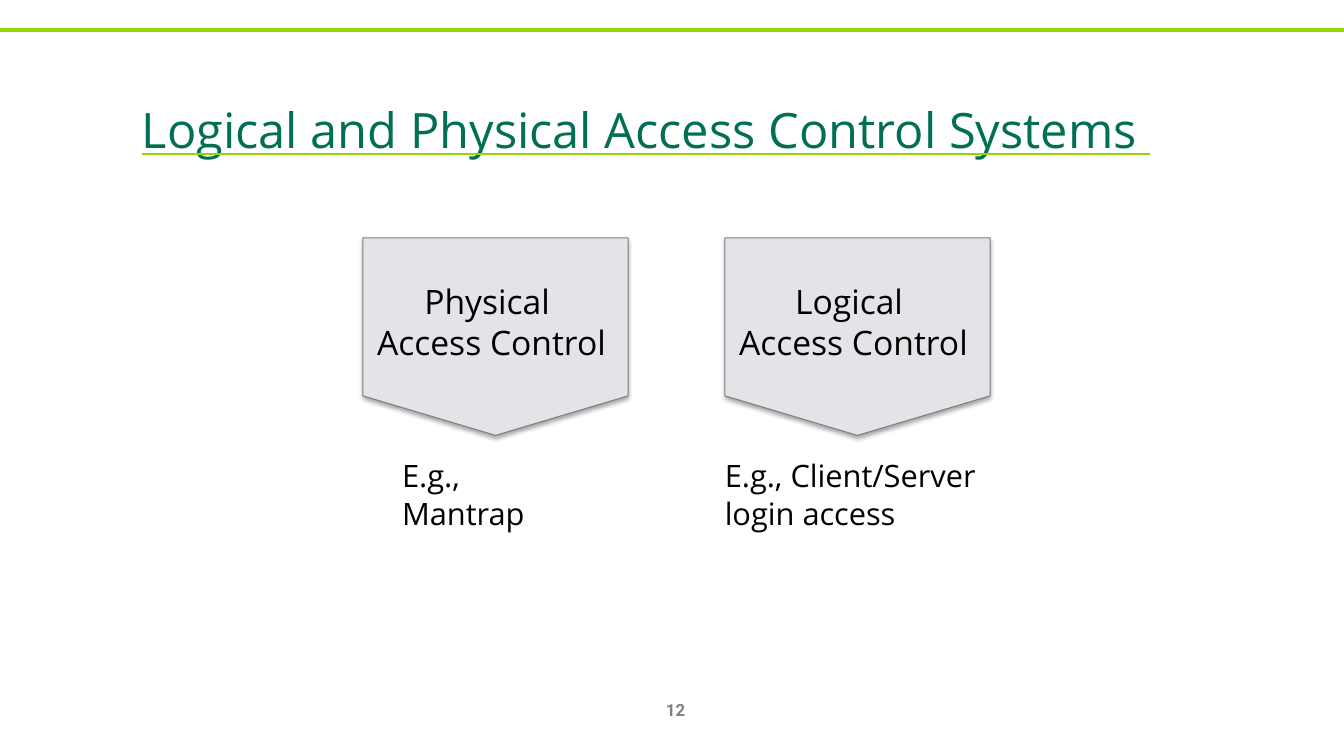
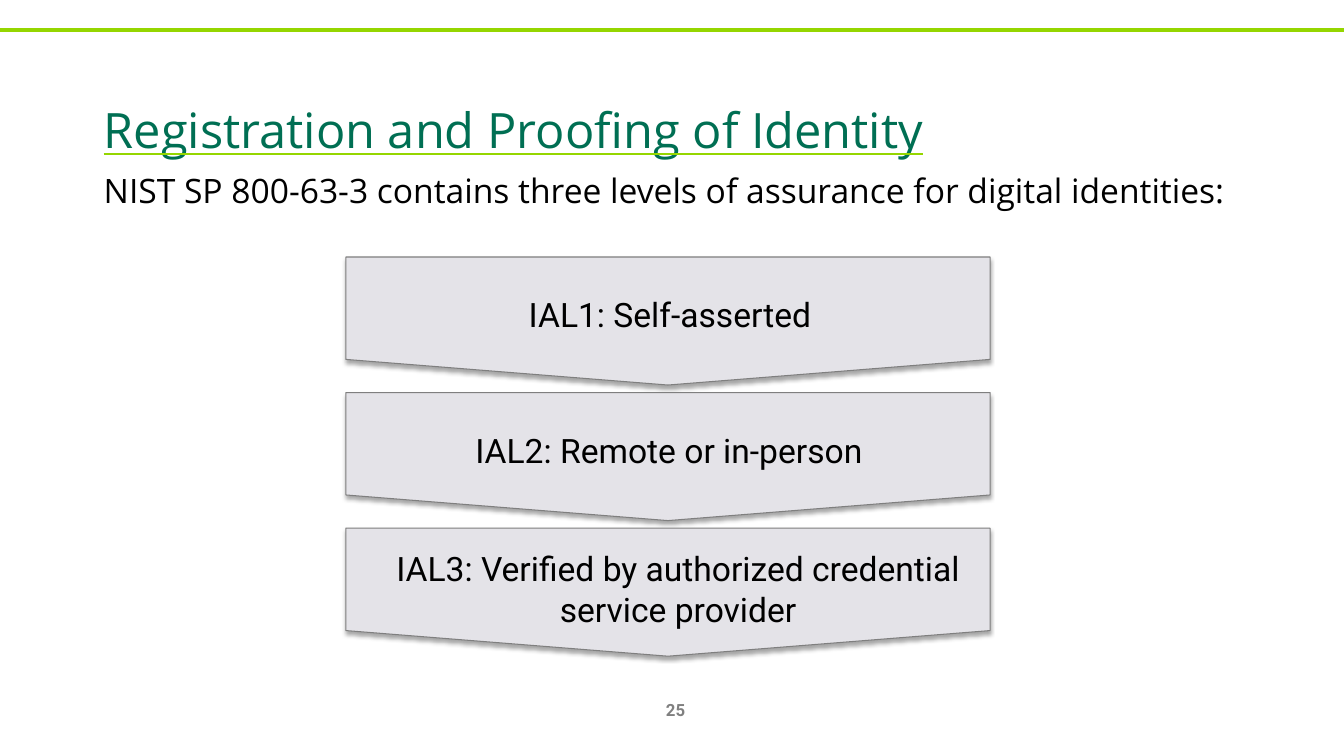
from lxml.etree import SubElement
from pptx import Presentation
from pptx.dml.color import RGBColor
from pptx.enum.shapes import MSO_CONNECTOR as Connector, MSO_SHAPE as Shape
from pptx.enum.text import MSO_ANCHOR as Anchor, PP_ALIGN as Align
from pptx.oxml.ns import qn
from pptx.util import Inches, Pt

GREEN = RGBColor(0x00, 0x6F, 0x53)
LIME = RGBColor(0x95, 0xD6, 0x00)
PALE = RGBColor(0xE4, 0xE3, 0xE8)
OUTLINE = RGBColor(0x7F, 0x7F, 0x7F)
GREY = RGBColor(0x80, 0x80, 0x80)
BLACK = RGBColor(0x00, 0x00, 0x00)
SANS = "Open Sans"
ROBOTO = "Roboto"
LEADING = 1.22


def add_color(parent, color, opacity=100):
    node = SubElement(parent, qn("a:srgbClr"), val=str(color))
    if opacity < 100:
        SubElement(node, qn("a:alpha"), val=str(opacity * 1000))


class Deck:
    def __init__(self):
        self.prs = Presentation()
        self.prs.slide_width = Inches(13.33)
        self.prs.slide_height = Inches(7.5)
        self.slide = None

    def new_slide(self, title, title_left, number):
        """Start a slide with the top rule, page number and title."""
        self.slide = self.prs.slides.add_slide(self.prs.slide_layouts[6])
        rule = self.slide.shapes.add_connector(
            Connector.STRAIGHT, 0, Inches(0.3), self.prs.slide_width, Inches(0.3))
        rule.line.color.rgb = LIME
        rule.line.width = Pt(3)
        SubElement(rule._element.spPr, qn("a:effectLst"))
        page = self.text([str(number)], 6.39, 6.84, 0.62, 0.4, size=12,
                         font=ROBOTO, color=GREY, align=Align.CENTER,
                         anchor=Anchor.MIDDLE)
        page.paragraphs[0].font.bold = True
        self.title(title, title_left)

    def title(self, title, left):
        """Raised heading with an underline in its own colour."""
        frame = self.text([title], left, 0.61, 11.9, 1.25, size=60,
                          color=GREEN, anchor=Anchor.MIDDLE)
        run = frame.paragraphs[0].runs[0]
        run.font.size = Pt(60)
        run.font.underline = True
        props = run.font._element
        props.set("baseline", "12000")
        underline = SubElement(props, qn("a:uFill"))
        add_color(SubElement(underline, qn("a:solidFill")), LIME)

    def text(self, lines, left, top, width, height, size=24, font=SANS,
             color=BLACK, align=Align.LEFT, anchor=Anchor.TOP):
        box = self.slide.shapes.add_textbox(
            Inches(left), Inches(top), Inches(width), Inches(height))
        frame = box.text_frame
        frame.word_wrap = True
        frame.vertical_anchor = anchor
        frame.text = "\n".join(lines)
        for paragraph in frame.paragraphs:
            paragraph.alignment = align
            paragraph.line_spacing = Pt(round(size * LEADING, 1))
            paragraph.font.size = Pt(size)
            paragraph.font.name = font
            paragraph.font.color.rgb = color
        return frame

    def pointer(self, left, top, width, height):
        """Block with a downward point and a soft shadow."""
        block = self.slide.shapes.add_shape(
            Shape.FLOWCHART_OFFPAGE_CONNECTOR,
            Inches(left), Inches(top), Inches(width), Inches(height))
        block.fill.solid()
        block.fill.fore_color.rgb = PALE
        block.line.color.rgb = OUTLINE
        block.line.width = Pt(0.75)
        block.shadow.inherit = False
        effects = block._element.spPr.find(qn("a:effectLst"))
        shadow = SubElement(effects, qn("a:outerShdw"), blurRad=str(Pt(3.1)),
                            dist=str(Pt(1.8)), dir="5400000", rotWithShape="0")
        add_color(shadow, BLACK, opacity=35)

    def label(self, lines, left, top, width, height, font=SANS):
        self.text(lines, left, top, width, height, font=font, align=Align.CENTER)


def access_control(deck):
    deck.new_slide("Logical and Physical Access Control Systems ", 1.31, 12)
    columns = [
        (3.6, "Physical ", "E.g., Mantrap", 3.89, 1.9),
        (7.19, "Logical ", "E.g., Client/Server login access", 7.09, 2.84),
    ]
    for left, kind, example, example_left, example_width in columns:
        deck.pointer(left, 2.36, 2.63, 1.96)
        deck.label([kind, "Access Control"], left - 0.04, 2.73, 2.63, 0.91)
        deck.text([example], example_left, 4.48, example_width, 0.65, size=22)


def identity_proofing(deck):
    deck.new_slide("Registration and Proofing of Identity", 0.93, 25)
    deck.text(["NIST SP 800-63-3 contains three levels of assurance "
               "for digital identities:"], 0.93, 1.63, 11.59, 0.84)
    levels = [
        ("IAL1: Self-asserted", 3.44, 0.31, 0.5),
        ("IAL2: Remote or in-person", 3.43, 0.31, 0.5),
        ("IAL3: Verified by authorized credential service provider",
         3.52, 0.14, 0.91),
    ]
    for row, (level, label_left, inset, height) in enumerate(levels):
        top = 2.55 + row * 1.345
        deck.pointer(3.43, top, 6.39, 1.27)
        deck.label([level], label_left, top + inset, 6.41, height, font=ROBOTO)


def main():
    deck = Deck()
    access_control(deck)
    identity_proofing(deck)
    deck.prs.save("out.pptx")


if __name__ == "__main__":
    main()
